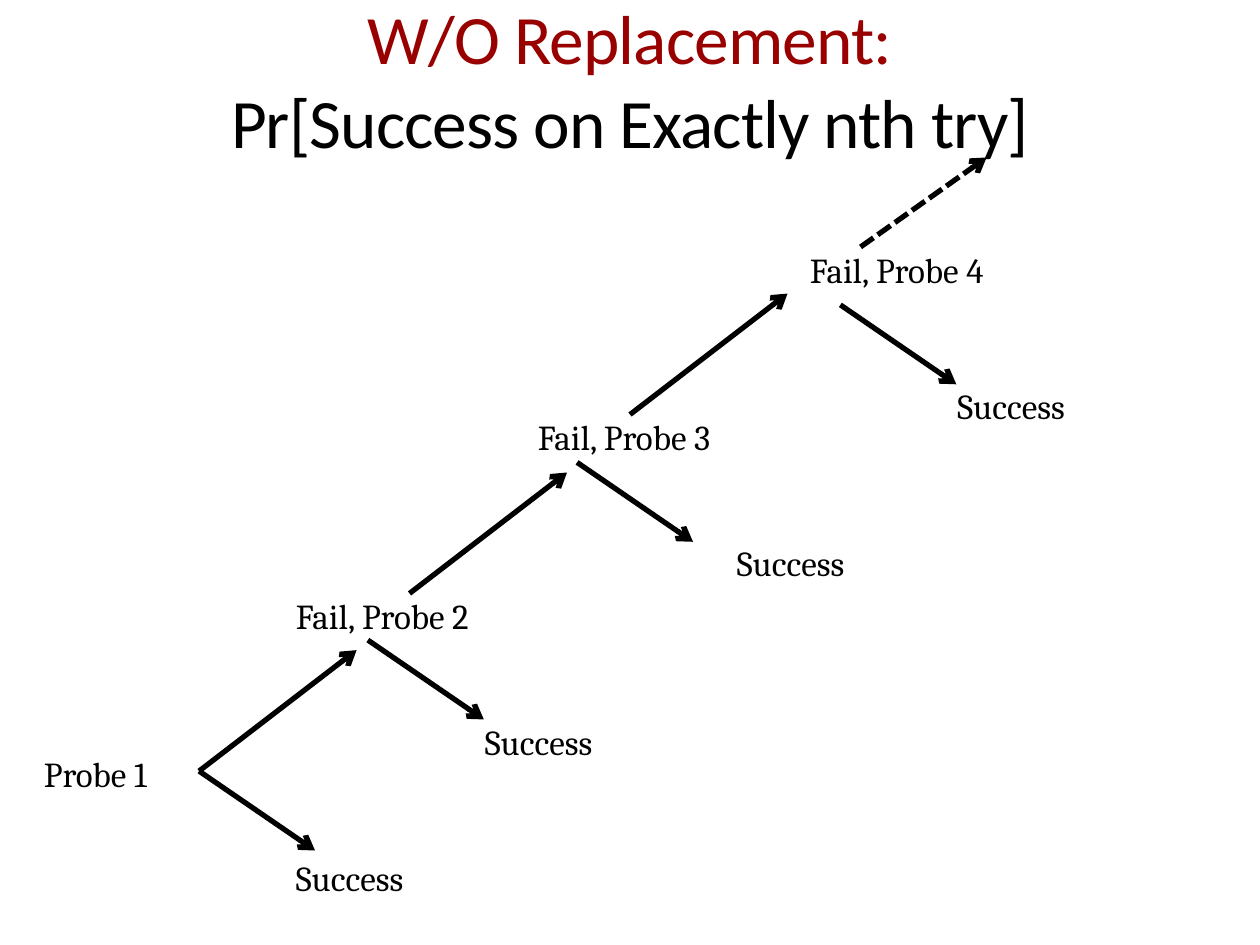
from dataclasses import dataclass

from lxml import etree
from pptx import Presentation
from pptx.dml.color import RGBColor
from pptx.enum import dml, shapes, text
from pptx.oxml import ns
from pptx.util import Inches, Pt


@dataclass(frozen=True)
class Theme:
    heading_font: str = "Calibri"
    body_font: str = "Cambria"
    heading_size: float = 39.6
    body_size: float = 20
    line_width: float = 3
    ink: str = "000000"
    accent: str = "990000"


class ProbeTree:
    LABEL_HEIGHT = 0.42
    SHORT_WIDTH = 1.33
    FAIL_WIDTH = 1.7

    def __init__(self, slide, theme):
        self.slide = slide
        self.theme = theme

    def text_frame(self, left, top, width, height, **settings):
        box = self.slide.shapes.add_textbox(*map(Inches, (left, top, width, height)))
        for name, value in {"word_wrap": True, **settings}.items():
            setattr(box.text_frame, name, value)
        return box.text_frame

    def run(self, paragraph, words, font, size, color):
        run = paragraph.add_run()
        run.text = words
        for name, value in {"name": font, "size": Pt(size)}.items():
            setattr(run.font, name, value)
        run.font.color.rgb = RGBColor.from_string(color)
        return run

    def title(self, first, second):
        frame = self.text_frame(
            0.5, 0, 9, 1.25, margin_left=0, margin_right=0,
            vertical_anchor=text.MSO_ANCHOR.MIDDLE)
        heading = frame.paragraphs[0]
        heading.alignment = text.PP_ALIGN.CENTER
        style = (self.theme.heading_font, self.theme.heading_size)
        upper = self.run(heading, first, *style, self.theme.accent)
        heading.add_line_break()
        lower = self.run(heading, second, *style, self.theme.ink)
        for line in (upper, lower):
            line.font._element.set("spc", "-50")

    def label(self, words, position):
        """Place a one-line label, in a wider box when it names a failure."""
        width = self.FAIL_WIDTH if words.startswith("Fail") else self.SHORT_WIDTH
        frame = self.text_frame(*position, width, self.LABEL_HEIGHT)
        self.run(frame.paragraphs[0], words, self.theme.body_font,
                 self.theme.body_size, self.theme.ink)

    def arrow(self, start, offset, dash=None):
        end = (start[0] + offset[0], start[1] + offset[1])
        branch = self.slide.shapes.add_connector(
            shapes.MSO_CONNECTOR.STRAIGHT, *map(Inches, (*start, *end)))
        branch.line.width = Pt(self.theme.line_width)
        branch.line.color.rgb = RGBColor.from_string(self.theme.ink)
        if dash is not None:
            branch.line.dash_style = dash
        properties = branch._element.spPr
        outline = properties.find(ns.qn("a:ln"))
        etree.SubElement(outline, ns.qn("a:tailEnd"), type="arrow")
        etree.SubElement(properties, ns.qn("a:effectLst"))


FAIL_RISE = (1.25, -0.96)
LAST_RISE = (1, -0.71)
SUCCESS_DROP = (0.92, 0.63)

# label, its position, success arrow start, success position, fail arrow start
PROBES = [
    ("Probe 1", (0.25, 5.92), (1.58, 6.12), (2.25, 6.75), (1.58, 6.12)),
    ("Fail, Probe 2", (2.25, 4.67), (2.92, 5.08), (3.75, 5.67), (3.25, 4.71)),
    ("Fail, Probe 3", (4.17, 3.25), (4.58, 3.67), (5.75, 4.25), (5, 3.29)),
    ("Fail, Probe 4", (6.33, 1.92), (6.67, 2.42), (7.5, 3), (6.83, 1.96)),
]


def main():
    deck = Presentation()
    deck.slide_width, deck.slide_height = Inches(10), Inches(7.5)
    tree = ProbeTree(deck.slides.add_slide(deck.slide_layouts[6]), Theme())
    tree.title("W/O Replacement:", "Pr[Success on Exactly nth try]")
    for probe, place, success_start, success_place, fail_start in PROBES:
        tree.label(probe, place)
        tree.label("Success", success_place)
        tree.arrow(success_start, SUCCESS_DROP)
        if probe == PROBES[-1][0]:
            tree.arrow(fail_start, LAST_RISE, dml.MSO_LINE.SQUARE_DOT)
        else:
            tree.arrow(fail_start, FAIL_RISE)
    deck.save("out.pptx")


if __name__ == "__main__":
    main()
